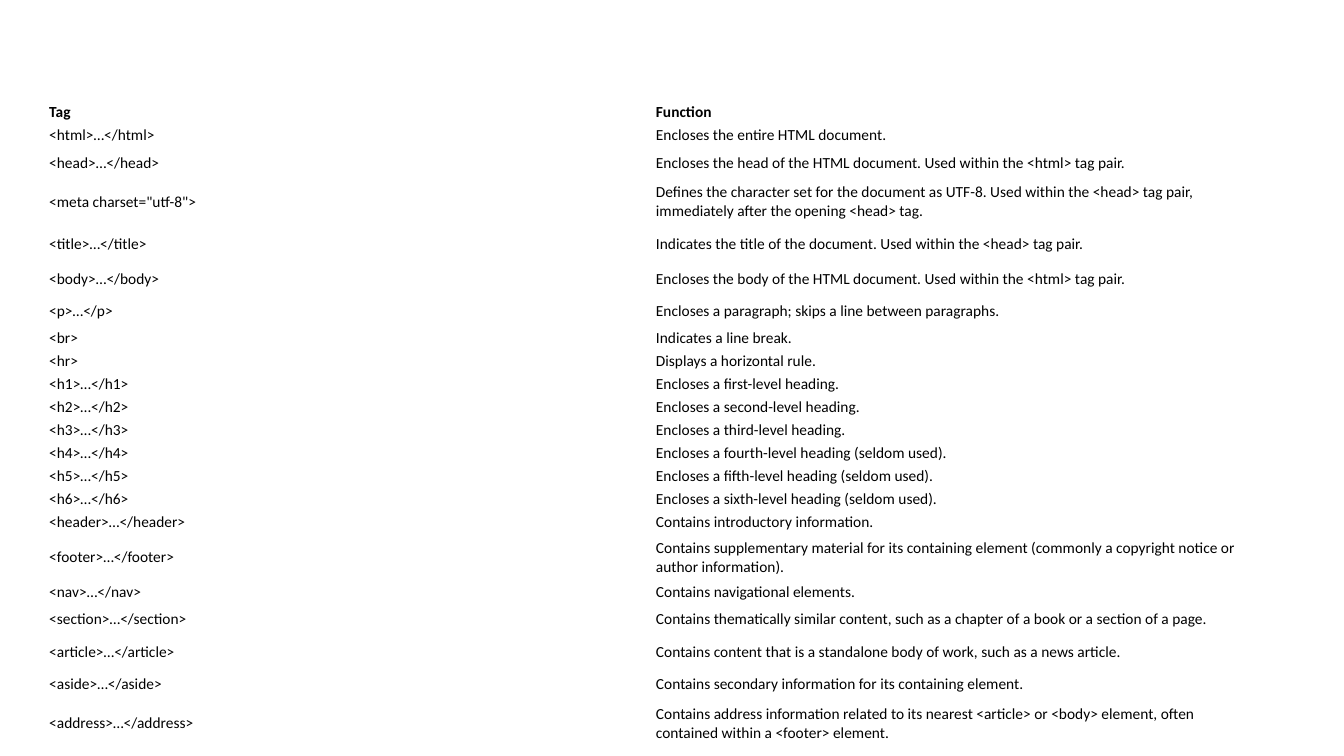
from pptx import Presentation
from pptx.dml.color import RGBColor
from pptx.enum.text import MSO_ANCHOR
from pptx.util import Cm, Pt

BLACK = RGBColor(0x00, 0x00, 0x00)

SHORT, MEDIUM, TALL, TWO_LINE = 0.46, 0.81, 0.94, 1.17

HEADINGS = [
    (SHORT, f"<h{level}>…</h{level}>", f"Encloses a {ordinal}-level heading{note}.")
    for level, (ordinal, note) in enumerate([
        ("first", ""),
        ("second", ""),
        ("third", ""),
        ("fourth", " (seldom used)"),
        ("fifth", " (seldom used)"),
        ("sixth", " (seldom used)"),
    ], start=1)
]

TAGS = [
    (SHORT, "Tag", "Function"),
    (SHORT, "<html>…</html>", "Encloses the entire HTML document."),
    (MEDIUM, "<head>…</head>",
     "Encloses the head of the HTML document. Used within the <html> tag pair."),
    (TWO_LINE, '<meta charset="utf-8">',
     "Defines the character set for the document as UTF-8. Used within the "
     "<head> tag pair, immediately after the opening <head> tag."),
    (TALL, "<title>…</title>",
     "Indicates the title of the document. Used within the <head> tag pair."),
    (MEDIUM, "<body>…</body>",
     "Encloses the body of the HTML document. Used within the <html> tag pair."),
    (MEDIUM, "<p>…</p>", "Encloses a paragraph; skips a line between paragraphs."),
    (SHORT, "<br>", "Indicates a line break."),
    (SHORT, "<hr>", "Displays a horizontal rule."),
    *HEADINGS,
    (SHORT, "<header>…</header>", "Contains introductory information."),
    (TWO_LINE, "<footer>…</footer>",
     "Contains supplementary material for its containing element "
     "(commonly a copyright notice or author information)."),
    (SHORT, "<nav>…</nav>", "Contains navigational elements."),
    (MEDIUM, "<section>…</section>",
     "Contains thematically similar content, such as a chapter of a book "
     "or a section of a page."),
    (MEDIUM, "<article>…</article>",
     "Contains content that is a standalone body of work, such as a news article."),
    (MEDIUM, "<aside>…</aside>",
     "Contains secondary information for its containing element."),
    (TWO_LINE, "<address>…</address>",
     "Contains address information related to its nearest <article> or <body> "
     "element, often contained within a <footer> element."),
]


class TagSheet:
    """Holds the text style and the slide, and adds elements to it."""

    def __init__(self, slide, font="Calibri", size=11, color=BLACK):
        self.slide = slide
        self.font = font
        self.size = size
        self.color = color

    def add_table(self, rows, left, top, width, height):
        frame = self.slide.shapes.add_table(
            len(rows), 2, Cm(left), Cm(top), Cm(width), Cm(height))
        table = frame.table
        table.first_row = False
        table.horz_banding = False
        for index, (row_height, *texts) in enumerate(rows):
            table.rows[index].height = Cm(row_height)
            for cell, text in zip(table.rows[index].cells, texts):
                self.fill_cell(cell, text, bold=index == 0)
        frame.height = Cm(height)

    def fill_cell(self, cell, text, bold):
        cell.fill.background()
        cell.vertical_anchor = MSO_ANCHOR.MIDDLE
        cell.margin_left = cell.margin_right = Cm(0.1)
        cell.margin_top = cell.margin_bottom = Cm(0.05)
        run = cell.text_frame.paragraphs[0].add_run()
        run.text = text
        run.font.name = self.font
        run.font.size = Pt(self.size)
        run.font.bold = bold
        run.font.color.rgb = self.color


def main():
    deck = Presentation()
    deck.slide_width = Cm(33.87)
    deck.slide_height = Cm(19.05)
    blank = deck.slide_layouts[6]
    sheet = TagSheet(deck.slides.add_slide(blank))
    sheet.add_table(TAGS, left=1.14, top=2.54, width=30.58, height=16.05)
    deck.save("out.pptx")


if __name__ == "__main__":
    main()
